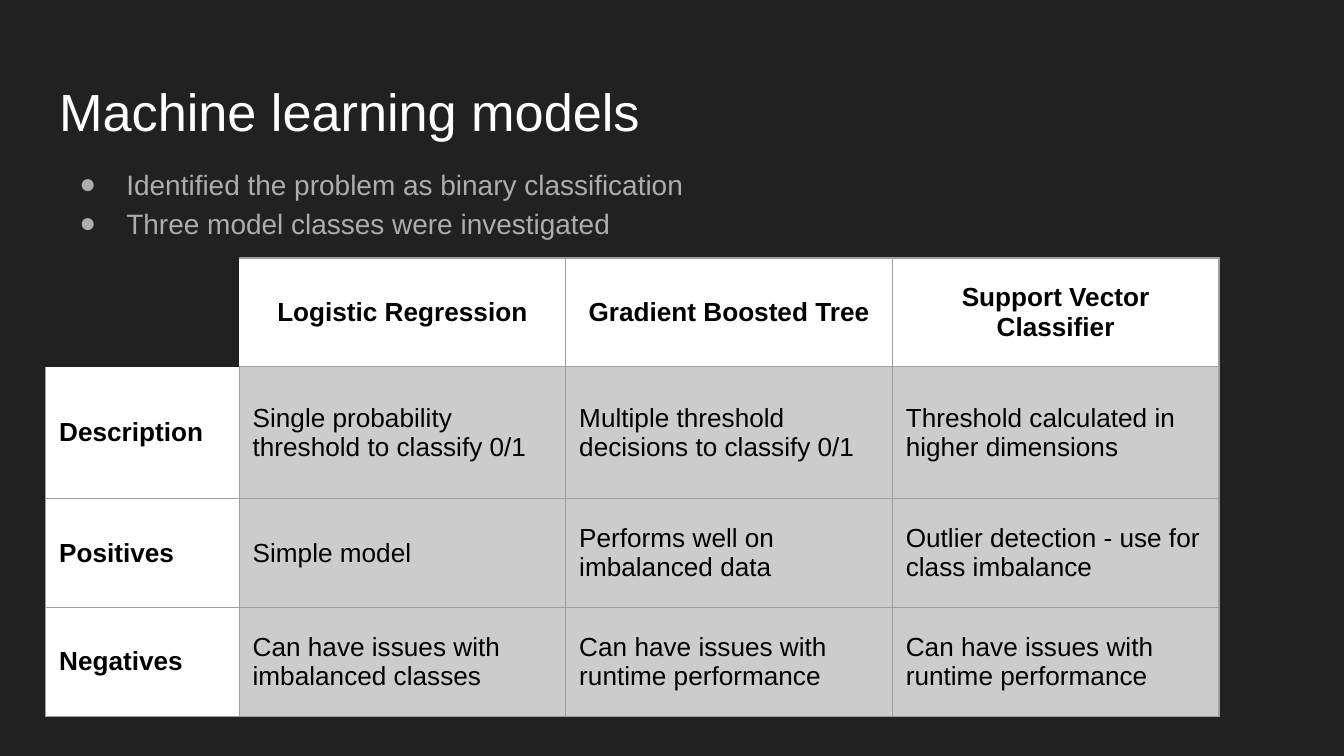
"""Build a slide that compares three machine learning models in a table."""
from dataclasses import dataclass

from lxml import etree
from pptx import Presentation, util as u
from pptx.dml.color import RGBColor
from pptx.enum import text as t
from pptx.oxml import ns

COLORS = {"bg": "212121", "title": "FFFFFF", "body": "ADADAD", "head": "FFFFFF",
          "cell": "CCCCCC", "ink": "000000", "border": "9E9E9E"}
MARGINS = {f"margin_{side}": u.Inches(0.1) for side in ("left", "right", "top", "bottom")}
FRAME = {**MARGINS, "word_wrap": True, "auto_size": t.MSO_AUTO_SIZE.NONE,
         "vertical_anchor": t.MSO_ANCHOR.TOP}
CELL = {**MARGINS, "vertical_anchor": t.MSO_ANCHOR.MIDDLE}
SLIDE_WIDTH = 10
SLIDE_HEIGHT = SLIDE_WIDTH * 9 / 16
COL_WIDTHS = (1.44, 2.43, 2.43, 2.43)
ROW_HEIGHTS = (0.81, 0.98, 0.81, 0.81)


@dataclass
class Row:
    label: str
    values: tuple[str, str, str]


@dataclass
class TextBlock:
    idx: int
    box: tuple[float, float, float, float]
    lines: tuple[str, ...]
    size: int
    color: str
    bulleted: bool = False


ROWS = (
    Row("", ("Logistic Regression", "Gradient Boosted Tree", "Support Vector Classifier")),
    Row("Description", ("Single probability threshold to classify 0/1",
                        "Multiple threshold decisions to classify 0/1",
                        "Threshold calculated in higher dimensions")),
    Row("Positives", ("Simple model", "Performs well on imbalanced data",
                      "Outlier detection - use for class imbalance")),
    Row("Negatives", ("Can have issues with imbalanced classes",
                      "Can have issues with runtime performance",
                      "Can have issues with runtime performance")),
)
BLOCKS = (
    TextBlock(0, (0.34, 0.49, 9.32, 0.63), ("Machine learning models",), 28, "title"),
    TextBlock(1, (0.34, 1.11, 8.97, 3.28),
              ("Identified the problem as binary classification",
               "Three model classes were investigated"), 15, "body", True),
)


def rgb(name: str) -> RGBColor:
    """Return a palette colour."""
    return RGBColor.from_string(COLORS[name])


def apply(obj, values: dict) -> None:
    """Set attributes from a dict."""
    for name, value in values.items():
        setattr(obj, name, value)


def add_run(p, words: str, size: int, color: str, bold: bool = False) -> None:
    """Add a formatted run to a paragraph."""
    r = p.add_run()
    r.text = words
    apply(r.font, {"name": "Arial", "size": u.Pt(size), "bold": bold})
    r.font.color.rgb = rgb(color)


def add_bullet(p, color: str) -> None:
    """Give a paragraph a round bullet and a hanging indent."""
    pPr = p._p.get_or_add_pPr()
    pPr.set("marL", str(u.Inches(0.5)))
    pPr.set("indent", str(u.Inches(-0.35)))
    clr = etree.SubElement(pPr, ns.qn("a:buClr"))
    etree.SubElement(clr, ns.qn("a:srgbClr"), val=COLORS[color])
    etree.SubElement(pPr, ns.qn("a:buFont"), typeface="Arial")
    etree.SubElement(pPr, ns.qn("a:buChar"), char="●")
    p.line_spacing = 1.15


def fill_placeholder(s, block: TextBlock) -> None:
    """Move a placeholder and write its lines."""
    sp = s.placeholders[block.idx]
    apply(sp, dict(zip(("left", "top", "width", "height"), map(u.Inches, block.box))))
    tf = sp.text_frame
    apply(tf, FRAME)
    for i, line in enumerate(block.lines):
        p = tf.add_paragraph() if i else tf.paragraphs[0]
        apply(p, {"alignment": t.PP_ALIGN.LEFT, "space_before": u.Pt(0)})
        add_run(p, line, block.size, block.color)
        if block.bulleted:
            add_bullet(p, block.color)


def set_borders(cell, hidden: str) -> None:
    """Draw thin cell borders, except on the hidden sides."""
    tcPr = cell._tc.get_or_add_tcPr()
    for side in "LRTB":
        ln = etree.SubElement(tcPr, ns.qn(f"a:ln{side}"), w=str(u.Pt(0.75)))
        if side in hidden:
            etree.SubElement(ln, ns.qn("a:noFill"))
        else:
            fill = etree.SubElement(ln, ns.qn("a:solidFill"))
            etree.SubElement(fill, ns.qn("a:srgbClr"), val=COLORS["border"])


def fill_cell(cell, words: str, i: int, j: int) -> None:
    """Format one table cell by its row and column."""
    apply(cell, CELL)
    set_borders(cell, {(0, 0): "LRTB", (0, 1): "L", (1, 0): "T"}.get((i, j), ""))
    if not words:
        cell.fill.background()
        return
    is_head = i == 0 or j == 0
    cell.fill.solid()
    cell.fill.fore_color.rgb = rgb("head" if is_head else "cell")
    p = cell.text_frame.paragraphs[0]
    p.alignment = t.PP_ALIGN.LEFT if i else t.PP_ALIGN.CENTER
    add_run(p, words, 14, "ink", is_head)


def add_model_table(s) -> None:
    """Add the comparison table."""
    table = s.shapes.add_table(len(ROWS), len(COL_WIDTHS), u.Inches(0.34), u.Inches(1.92),
                               u.Inches(sum(COL_WIDTHS)), u.Inches(sum(ROW_HEIGHTS))).table
    apply(table, {"first_row": False, "horz_banding": False})
    for col, width in zip(table.columns, COL_WIDTHS):
        col.width = u.Inches(width)
    for i, (row, height) in enumerate(zip(ROWS, ROW_HEIGHTS)):
        table.rows[i].height = u.Inches(height)
        for j, words in enumerate((row.label, *row.values)):
            fill_cell(table.cell(i, j), words, i, j)


def main() -> None:
    """Build and save the presentation."""
    prs = Presentation()
    apply(prs, {"slide_width": u.Inches(SLIDE_WIDTH), "slide_height": u.Inches(SLIDE_HEIGHT)})
    s = prs.slides.add_slide(prs.slide_layouts[1])
    s.background.fill.solid()
    s.background.fill.fore_color.rgb = rgb("bg")
    for block in BLOCKS:
        fill_placeholder(s, block)
    add_model_table(s)
    prs.save("out.pptx")


if __name__ == "__main__":
    main()
